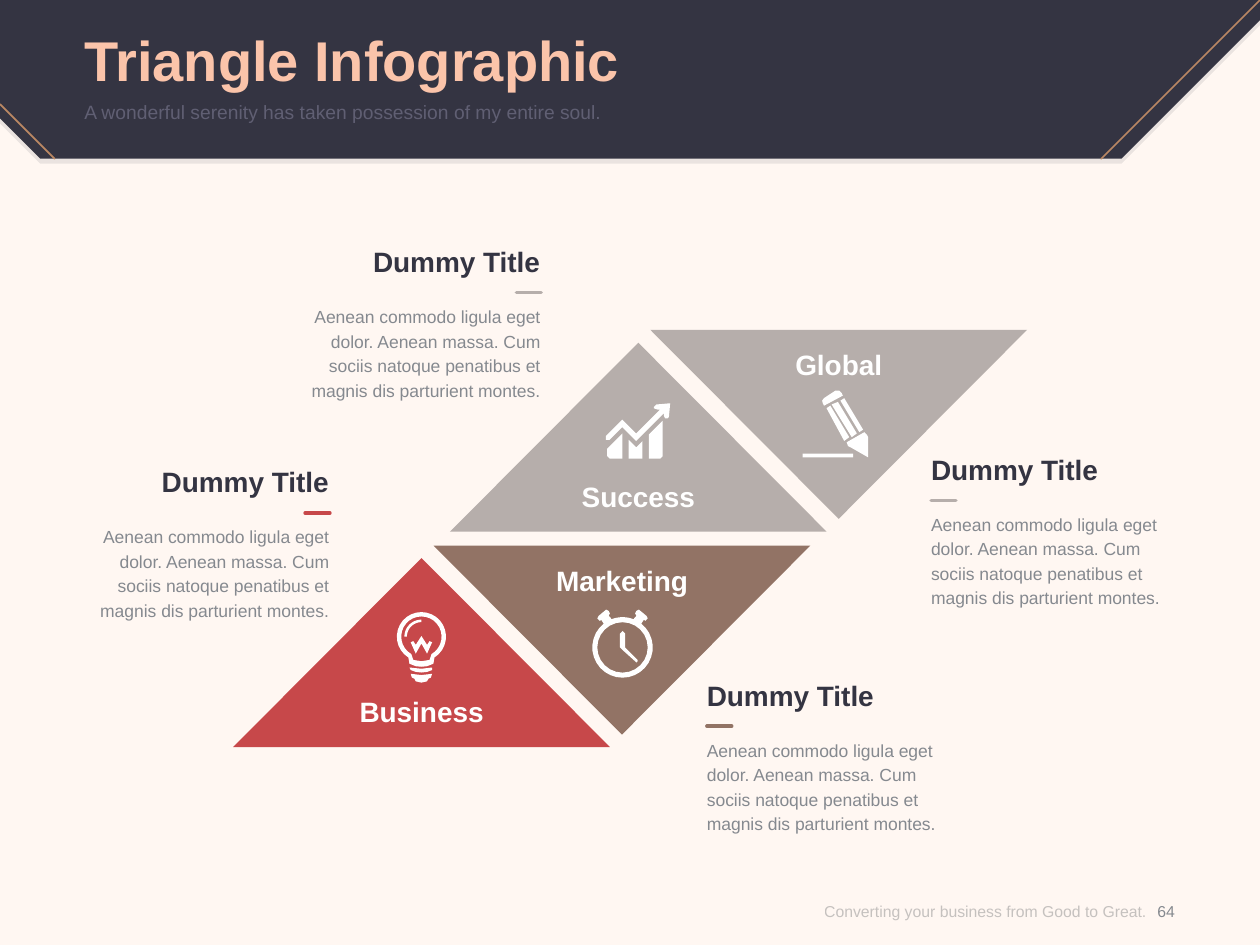
from math import cos, radians, sin

from lxml.etree import SubElement
from pptx import Presentation
from pptx.dml.color import RGBColor as RGB
from pptx.enum.shapes import MSO_CONNECTOR as LINK
from pptx.enum.text import MSO_ANCHOR as ANCHOR, MSO_AUTO_SIZE as FIT, PP_ALIGN as ALIGN
from pptx.oxml.ns import qn
from pptx.util import Cm, Pt

CREAM = RGB(0xFF, 0xF7, 0xF2)
NAVY = RGB(0x34, 0x34, 0x42)
PEACH = RGB(0xFB, 0xC4, 0xAA)
BRONZE = RGB(0xB9, 0x87, 0x63)
RED = RGB(0xC7, 0x48, 0x4A)
TAUPE = RGB(0xB6, 0xAE, 0xAB)
BROWN = RGB(0x92, 0x73, 0x65)
WHITE = RGB(0xFF, 0xFF, 0xFF)
GRAY = RGB(0x85, 0x89, 0x8F)
SILVER = RGB(0x8C, 0x8C, 0x8C)
MAUVE = RGB(0x60, 0x5F, 0x73)
STEP = Cm(2.54) / 100
COPY = ("Aenean commodo ligula eget dolor. Aenean massa. Cum sociis "
        "natoque penatibus et magnis dis parturient montes.")

deck = Presentation()
deck.slide_width, deck.slide_height = Cm(25.4), Cm(19.05)
slide = deck.slides.add_slide(deck.slide_layouts[1])
slide.background.fill.solid()
slide.background.fill.fore_color.rgb = CREAM
shapes = slide.shapes


def arc(x, y, r, start, end, count=24):
    turns = [radians(start + (end - start) * i / count) for i in range(count + 1)]
    return [(x + r * cos(t), y + r * sin(t)) for t in turns]


def draw(x, y, loops, color):
    pen = None
    for loop in loops:
        first, *rest = [(px * STEP, py * STEP) for px, py in loop]
        if pen is None:
            pen = shapes.build_freeform(*first)
        else:
            pen.move_to(*first)
        pen.add_line_segments(rest, close=True)
    shape = pen.convert_to_shape(Cm(x), Cm(y))
    shape.shadow.inherit = False
    shape.fill.solid()
    shape.fill.fore_color.rgb = color
    shape.line.fill.background()
    return shape


band = [(890, 126), (32, 126), (0, 94), (0, 0), (1000, 0), (1000, 16)]
shade = draw(0, 0.1, [band], NAVY)
draw(0, 0, [band], NAVY)

lines = [(25.4, 0, 22.2, 3.2, BRONZE, 1), (0, 2.1, 1.1, 3.2, BRONZE, 1)]
texts = []

up = [(0, 150), (149.5, 0), (299, 150)]
down = [(0, 0), (149.5, 150), (299, 0)]
panels = [
    ("Business", 4.7, 11.25, up, RED),
    ("Global", 13.11, 6.65, down, TAUPE),
    ("Marketing", 8.74, 11, down, BROWN),
    ("Success", 9.07, 6.91, up, TAUPE),
]
for name, x, y, side, color in panels:
    draw(x, y, [side], color)
    drop = 2.76 if side is up else 0.36
    texts.append((x + 1.35, y + drop, 4.9, 0.69, name, 16, True, WHITE,
                  ALIGN.CENTER, None, ANCHOR.TOP))

bulb = [
    arc(19.5, 19.5, 19.5, 122, 418)
    + [(29, 41), (24, 43), (19.5, 43.4), (15, 43), (10, 41)],
    arc(19.5, 19.5, 16, 120, 420) + [(26, 38), (19.5, 39), (13, 38)],
    [(11, 24), (13, 23), (15, 26), (19.5, 19), (24, 26), (26, 23), (28, 24),
     (24, 33), (19.5, 25), (15, 33)],
    [(10, 44), (19.5, 45), (28, 44), (28, 46), (24, 47.5), (19.5, 48),
     (15, 47.5), (11, 46)],
    [(11, 49), (19.5, 50), (28, 49), (27, 52), (25, 53), (24, 55), (19.5, 56),
     (15, 55), (14, 53), (12, 52)],
    arc(19.5, 19.5, 13.5, 180, 270) + arc(19.5, 19.5, 11.5, 270, 180),
]
ear = [(9, 11), (7, 8), (6, 9), (4, 7), (5, 5), (11, 0), (13, 1), (14, 3),
       (13, 5), (15, 7)]
clock = [
    ear + arc(24, 30, 24, -112, -68) + [(48 - x, y) for x, y in reversed(ear)]
    + arc(24, 30, 24, -52, 232),
    arc(24, 30, 20, 0, 360),
    [(26, 30), (26, 19), (24, 17), (22, 19), (22, 30), (24, 32), (34, 41),
     (35, 42), (36, 41), (36, 40)],
]
growth = [
    [(19, 29), (19, 44), (30, 44), (30, 30), (25, 35)],
    [(2, 36), (14, 24), (14, 44), (4, 44), (2, 42)],
    [(35, 25), (46, 14), (46, 42), (44, 44), (35, 44)],
    [(41, 1), (39, 3), (39, 4), (42, 5), (44, 5), (25, 24), (14, 13), (1, 26),
     (1, 29), (4, 29), (14, 19), (25, 30), (47, 8), (47, 10), (48, 12),
     (50, 12), (51, 11), (52, 0)],
]
pencil = [
    [(35, 42), (49, 34), (51, 36), (52, 38), (52, 54), (38, 46), (36, 45)],
    [(45, 34), (48, 32), (33, 7), (30, 9)],
    [(43, 35), (28, 10), (23, 12), (39, 38)],
    [(19, 15), (33, 41), (37, 38), (22, 13)],
    [(17, 13), (32, 5), (31, 3), (29, 1), (26, 1), (17, 7), (15.5, 9), (16, 11)],
    [(0, 54), (40, 54), (40, 51), (0, 51)],
]
for x, y, icon in [(8, 12.34, bulb), (11.94, 12.29, clock),
                   (12.19, 8.13, growth), (16.18, 7.85, pencil)]:
    draw(x, y, icon, WHITE)

cards = [
    (1.73, 9.37, ALIGN.RIGHT, RED),
    (5.99, 4.93, ALIGN.RIGHT, TAUPE),
    (14.25, 13.67, ALIGN.LEFT, BROWN),
    (18.77, 9.12, ALIGN.LEFT, TAUPE),
]
for x, y, align, color in cards:
    dash = x + 4.42 if align == ALIGN.RIGHT else x
    lines.append((dash, y + 0.97, dash + 0.5, y + 0.97, color, 2))
    texts.append((x, y, 4.9, 0.69, "Dummy Title", 16, True, NAVY,
                  align, None, ANCHOR.TOP))
    texts.append((x, y + 1.17, 4.9, 2, COPY, 10, False, GRAY,
                  align, Pt(14), ANCHOR.TOP))

texts.append((22.91, 17.68, 1.2, 1.37, "64", 9, False, GRAY,
              ALIGN.CENTER, None, ANCHOR.MIDDLE))
texts.append((15.34, 17.68, 7.77, 1.37, "Converting your business from Good to Great.",
              9, False, SILVER, ALIGN.RIGHT, None, ANCHOR.MIDDLE))

for x, y, right, base, color, width in lines:
    line = shapes.add_connector(LINK.STRAIGHT, Cm(x), Cm(y), Cm(right), Cm(base))
    line.line.color.rgb = color
    line.line.width = Pt(width)
    props = line.element.find(qn("p:spPr"))
    props.find(qn("a:ln")).set("cap", "rnd")
    SubElement(props, qn("a:effectLst"))

title, body = shapes.title, slide.placeholders[1]
jobs = [
    (title, (1.7, 0.36, 22, 1.65, "Triangle Infographic", 32, True, PEACH,
             ALIGN.LEFT, None, ANCHOR.MIDDLE)),
    (body, (1.7, 2.03, 22, 0.99,
            "A wonderful serenity has taken possession of my entire soul.",
            11, False, MAUVE, ALIGN.LEFT, None, ANCHOR.TOP)),
]
jobs += [(shapes.add_textbox(0, 0, 0, 0), text) for text in texts]
for box, (x, y, w, h, words, size, bold, color, align, space, anchor) in jobs:
    box.left, box.top, box.width, box.height = Cm(x), Cm(y), Cm(w), Cm(h)
    frame = box.text_frame
    frame.word_wrap = True
    frame.auto_size = FIT.NONE
    frame.vertical_anchor = anchor
    frame.margin_left = frame.margin_right = frame.margin_top = frame.margin_bottom = 0
    frame.text = words
    para = frame.paragraphs[0]
    para.alignment = align
    para.space_before = Pt(0)
    if space:
        para.line_spacing = space
    font = para.font
    font.name, font.size, font.bold = "Arial", Pt(size), bold
    font.color.rgb = color
foot = jobs[-1][0]

for item in (title, body):
    item.element.getparent().append(item.element)
props = body.element.find(".//" + qn("a:pPr"))
props.set("marL", "0")
props.set("indent", "0")
props.find(qn("a:defRPr")).addprevious(SubElement(props, qn("a:buNone")))

for item, share in ((shade, 10), (foot, 50)):
    for tint in item.element.iter(qn("a:srgbClr")):
        SubElement(tint, qn("a:alpha")).set("val", str(share * 1000))

deck.save("out.pptx")
